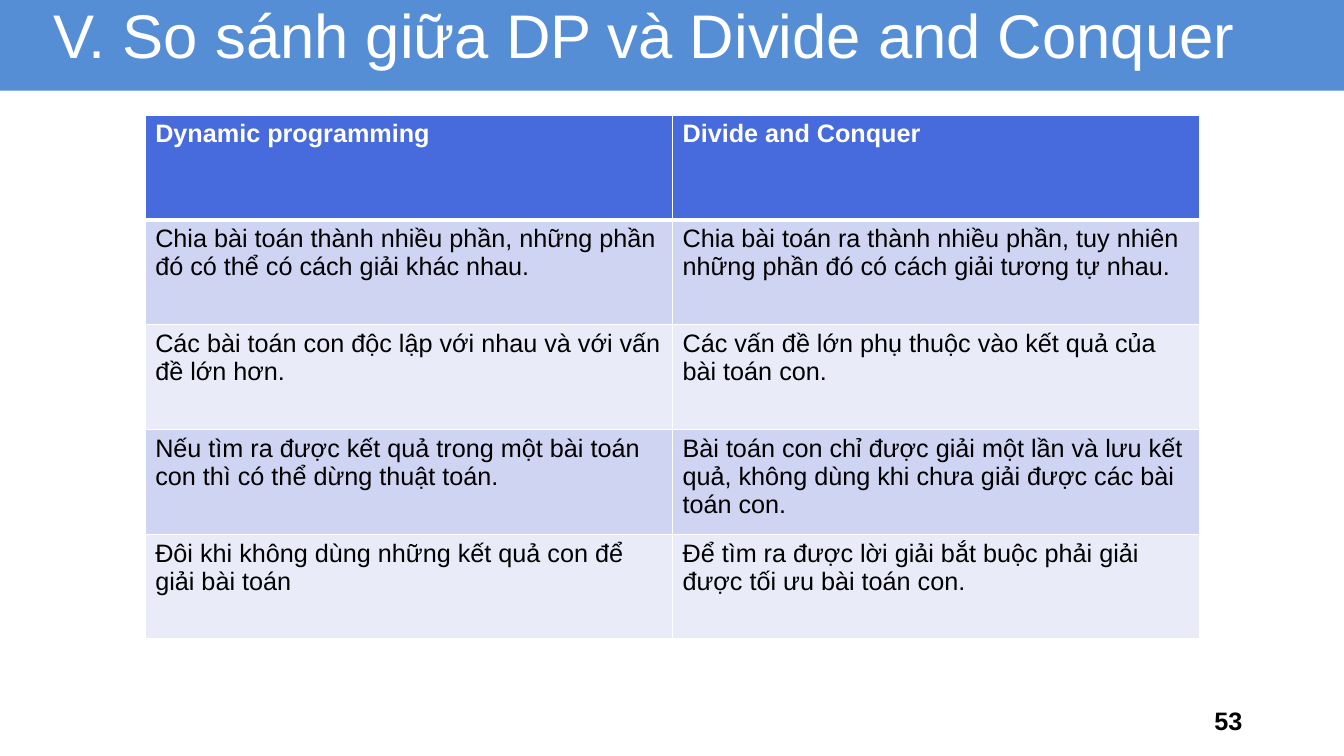
import pptx
import pptx.util
import pptx.dml.color
import pptx.enum.shapes
import pptx.enum.text
import pptx.oxml
import pptx.oxml.ns

COLORS = {
    "band": "558ED5",
    "header": "476ADD",
    "odd row": "CFD4F2",
    "even row": "E9EBF9",
    "white": "FFFFFF",
    "black": "000000",
}
ROWS = [
    ("Dynamic programming", "Divide and Conquer"),
    ("Chia bài toán thành nhiều phần, những phần đó có thể có cách giải khác nhau.",
     "Chia bài toán ra thành nhiều phần, tuy nhiên những phần đó có cách giải tương tự nhau."),
    ("Các bài toán con độc lập với nhau và với vấn đề lớn hơn.",
     "Các vấn đề lớn phụ thuộc vào kết quả của bài toán con."),
    ("Nếu tìm ra được kết quả trong một bài toán con thì có thể dừng thuật toán.",
     "Bài toán con chỉ được giải một lần và lưu kết quả, không dùng khi chưa giải được các bài toán con."),
    ("Đôi khi không dùng những kết quả con để giải bài toán",
     "Để tìm ra được lời giải bắt buộc phải giải được tối ưu bài toán con."),
]
COLUMN_WIDTH, ROW_HEIGHT = 5.23, 1.04


def rgb(name):
    return pptx.dml.color.RGBColor.from_string(COLORS[name])


def write(frame, text, size, color, bold=False):
    """Put one Arial run in the first paragraph and return that paragraph."""
    frame.word_wrap = True
    para = frame.paragraphs[0]
    span = para.add_run()
    span.text = text
    span.font.name = "Arial"
    span.font.size = pptx.util.Pt(size)
    span.font.bold = bold
    span.font.color.rgb = rgb(color)
    return para


deck = pptx.Presentation()
deck.slide_width = pptx.util.Inches(13.33)
deck.slide_height = pptx.util.Inches(7.5)
page = deck.slides.add_slide(deck.slide_layouts[6])

# Title band
band = page.shapes.add_shape(
    pptx.enum.shapes.MSO_SHAPE.RECTANGLE,
    0, pptx.util.Inches(-0.1), deck.slide_width, pptx.util.Inches(1))
band.shadow.inherit = False
band.fill.solid()
band.fill.fore_color.rgb = rgb("band")
band.line.fill.background()

title = page.shapes.add_textbox(
    pptx.util.Inches(0.43), pptx.util.Inches(-0.11),
    pptx.util.Inches(12.9), pptx.util.Inches(0.99))
title.text_frame.vertical_anchor = pptx.enum.text.MSO_ANCHOR.MIDDLE
para = write(title.text_frame, "V. So sánh giữa DP và Divide and Conquer", 44, "white")
para.line_spacing = 0.9

# Comparison table
table = page.shapes.add_table(
    len(ROWS), len(ROWS[0]), pptx.util.Inches(1.44), pptx.util.Inches(1.14),
    pptx.util.Inches(COLUMN_WIDTH * len(ROWS[0])),
    pptx.util.Inches(ROW_HEIGHT * len(ROWS))).table

for row_index, texts in enumerate(ROWS):
    is_header = row_index == 0
    fill = "header" if is_header else "odd row" if row_index % 2 else "even row"
    for column_index, text in enumerate(texts):
        cell = table.cell(row_index, column_index)
        write(cell.text_frame, text, 18, "white" if is_header else "black", is_header)
        properties = cell._tc.get_or_add_tcPr()
        for side in "LRTB":
            thick = (is_header and side == "B") or (row_index == 1 and side == "T")
            width = pptx.util.Pt(3 if thick else 1)
            properties.append(pptx.oxml.parse_xml(
                f'<a:ln{side} {pptx.oxml.ns.nsdecls("a")} w="{width}"><a:solidFill>'
                f'<a:srgbClr val="{COLORS["white"]}"/></a:solidFill></a:ln{side}>'))
        cell.fill.solid()
        cell.fill.fore_color.rgb = rgb(fill)

# Page number
number = page.shapes.add_textbox(
    pptx.util.Inches(9.42), pptx.util.Inches(6.95),
    pptx.util.Inches(3), pptx.util.Inches(0.4))
number.text_frame.vertical_anchor = pptx.enum.text.MSO_ANCHOR.MIDDLE
para = write(number.text_frame, "53", 18, "black", True)
para.alignment = pptx.enum.text.PP_ALIGN.RIGHT

deck.save("out.pptx")
